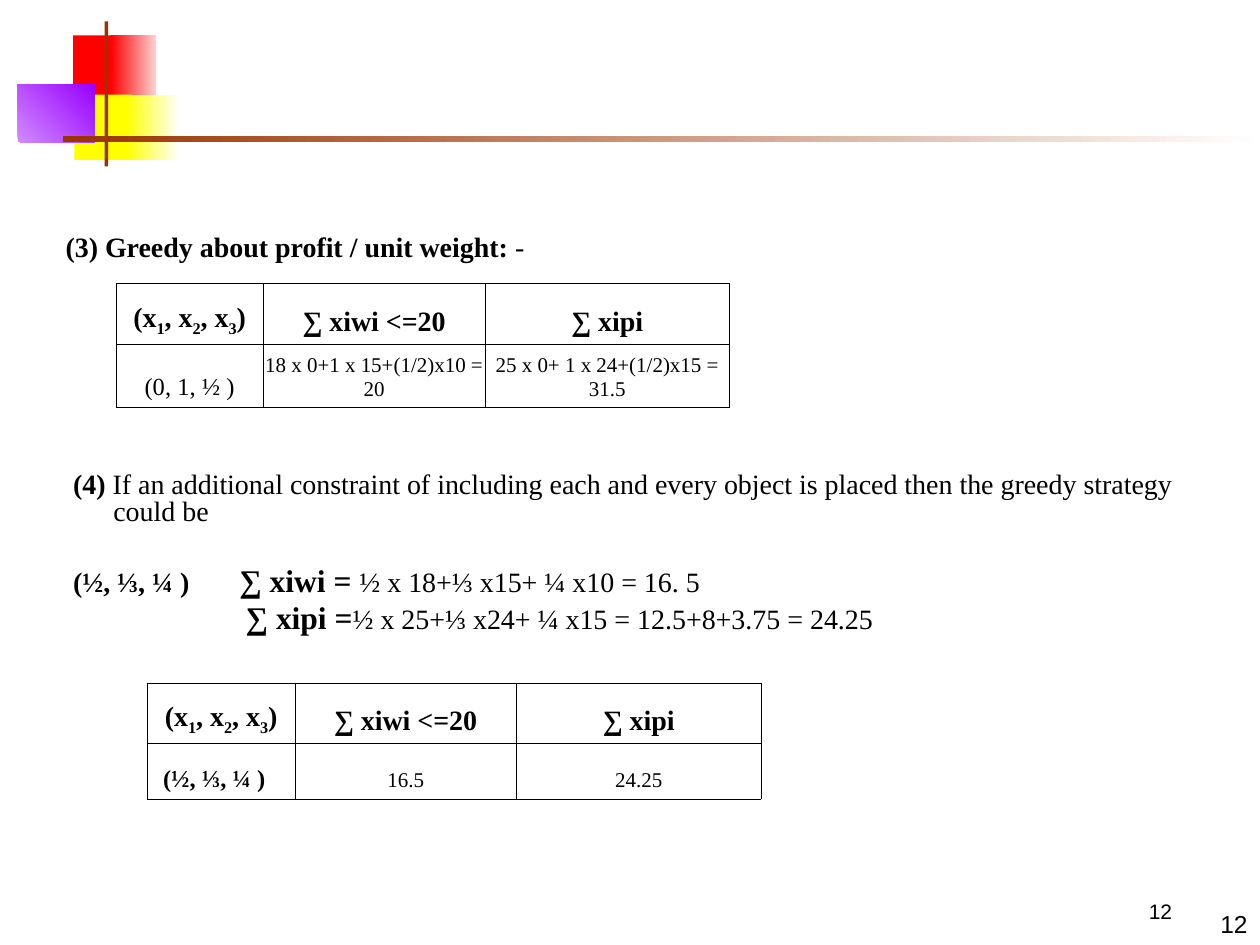
from lxml.etree import SubElement
from pptx import Presentation
from pptx.dml.color import RGBColor
from pptx.enum.shapes import MSO_SHAPE
from pptx.enum.text import MSO_ANCHOR, MSO_AUTO_SIZE, PP_ALIGN
from pptx.oxml.ns import qn
from pptx.util import Inches, Pt

COLORS = {
    "text": "000000",
    "red": "FF0000",
    "pale_red": "FFD1D1",
    "yellow": "FFFF00",
    "pale_yellow": "FFFFF0",
    "lilac": "D18BFF",
    "violet": "9900FF",
    "brown": "993300",
    "white": "FFFFFF",
}
SERIF = "Times New Roman"
BOLD = {"bold": True}
SUBSCRIPT = {"bold": True, "baseline": -25000}
VECTOR = [("(x", BOLD), ("1", SUBSCRIPT), (", x", BOLD), ("2", SUBSCRIPT),
          (", x", BOLD), ("3", SUBSCRIPT), (")", BOLD)]
HEADER = [VECTOR, [("∑ xiwi <=20", BOLD)], [("∑ xipi", BOLD)]]
COLUMN_WIDTHS = [1.17, 1.76, 1.94]
ROW_HEIGHTS = [0.48, 0.44]


def color(name):
    return RGBColor.from_string(COLORS[name])


def add_text(paragraph, text, size=16, bold=False, font=SERIF, baseline=None):
    run = paragraph.add_run()
    run.text = text
    run.font.size = Pt(size)
    run.font.bold = bold
    run.font.name = font
    run.font.color.rgb = color("text")
    if baseline is not None:
        run._r.get_or_add_rPr().set("baseline", str(baseline))


def add_block(slide, left, top, width, height, start, end=None, angle=0):
    block = slide.shapes.add_shape(MSO_SHAPE.RECTANGLE, Inches(left), Inches(top),
                                   Inches(width), Inches(height))
    block.shadow.inherit = False
    block.line.fill.background()
    if end is None:
        block.fill.solid()
        block.fill.fore_color.rgb = color(start)
        return
    block.fill.gradient()
    block.fill.gradient_angle = angle
    for stop, name in zip(block.fill.gradient_stops, (start, end)):
        stop.color.rgb = color(name)


def add_decoration(slide):
    add_block(slide, 0.58, 0.28, 0.35, 0.52, "red")
    add_block(slide, 0.88, 0.28, 0.36, 0.52, "red", "pale_red")
    add_block(slide, 0.59, 0.75, 0.46, 0.52, "yellow")
    add_block(slide, 1, 0.75, 0.4, 0.52, "yellow", "pale_yellow")
    add_block(slide, 0.14, 0.67, 0.61, 0.46, "lilac", "violet", angle=45)
    add_block(slide, 0.83, 0.17, 0.03, 1.15, "brown")
    add_block(slide, 0.5, 1.08, 9.5, 0.05, "brown", "white")


def add_number(slide, left, top, width, height, size, alignment, anchor):
    box = slide.shapes.add_textbox(Inches(left), Inches(top), Inches(width), Inches(height))
    frame = box.text_frame
    frame.word_wrap = True
    frame.vertical_anchor = anchor
    frame.paragraphs[0].alignment = alignment
    add_text(frame.paragraphs[0], "12", size=size, font="Arial")


def format_paragraph(paragraph, margin, indent, space_before, tab=None):
    properties = paragraph._p.get_or_add_pPr()
    properties.set("marL", str(Inches(margin)))
    properties.set("indent", str(Inches(indent)))
    SubElement(properties, qn("a:buNone"))
    if tab is not None:
        tabs = SubElement(properties, qn("a:tabLst"))
        SubElement(tabs, qn("a:tab"), pos=str(Inches(tab)), algn="l")
    paragraph.line_spacing = 0.8
    paragraph.space_before = Pt(space_before)


def fill_body(slide):
    body = slide.placeholders[1]
    body.left, body.top = Inches(0.42), Inches(1.82)
    body.width, body.height = Inches(9), Inches(4.18)
    frame = body.text_frame
    frame.word_wrap = True
    frame.auto_size = MSO_AUTO_SIZE.NONE
    frame.vertical_anchor = MSO_ANCHOR.TOP
    large = {"bold": True, "size": 18}
    content = [
        ({"margin": 0.38, "indent": -0.38, "space_before": 0},
         [("(3) Greedy about profit / unit weight:", BOLD), (" -", {})]),
        ({"margin": 0.38, "indent": -0.32, "space_before": 120.5},
         [("(4) ", BOLD),
          ("If an additional constraint of including each and every object is placed "
           "then the greedy strategy could be", {})]),
        ({"margin": 0.38, "indent": -0.32, "space_before": 23.5, "tab": 2.05},
         [("(½, ⅓, ¼ )\t", BOLD), ("∑ xiwi = ", large),
          ("½ x 18+⅓ x15+ ¼ x10 = 16. 5", {})]),
        ({"margin": 1.43, "indent": 0, "space_before": 4},
         [("∑ xipi =", large), ("½ x 25+⅓ x24+ ¼ x15 = 12.5+8+3.75 = 24.25", {})]),
    ]
    for index, (layout, runs) in enumerate(content):
        paragraph = frame.add_paragraph() if index else frame.paragraphs[0]
        format_paragraph(paragraph, **layout)
        for text, style in runs:
            add_text(paragraph, text, **style)


def add_borders(cell):
    properties = cell._tc.get_or_add_tcPr()
    for position, side in enumerate(("lnL", "lnR", "lnT", "lnB")):
        line = properties.makeelement(qn(f"a:{side}"), {"w": str(Pt(0.23))})
        fill = SubElement(line, qn("a:solidFill"))
        SubElement(fill, qn("a:srgbClr"), val=COLORS["text"])
        properties.insert(position, line)


def add_result_table(slide, left, top, results):
    frame = slide.shapes.add_table(2, 3, Inches(left), Inches(top),
                                   Inches(sum(COLUMN_WIDTHS)), Inches(sum(ROW_HEIGHTS)))
    table = frame.table
    table.first_row = False
    table.horz_banding = False
    for column, width in zip(table.columns, COLUMN_WIDTHS):
        column.width = Inches(width)
    for row, height, values in zip(table.rows, ROW_HEIGHTS, (HEADER, results)):
        row.height = Inches(height)
        for cell, runs in zip(row.cells, values):
            cell.fill.background()
            cell.vertical_anchor = MSO_ANCHOR.BOTTOM
            cell.margin_left = cell.margin_right = Inches(0.01)
            cell.margin_top = cell.margin_bottom = Inches(0.05)
            add_borders(cell)
            paragraph = cell.text_frame.paragraphs[0]
            paragraph.alignment = PP_ALIGN.CENTER
            for text, style in runs:
                add_text(paragraph, text, **style)
    return table


def main():
    presentation = Presentation()
    presentation.slide_width, presentation.slide_height = Inches(10), Inches(7.5)
    slide = presentation.slides.add_slide(presentation.slide_layouts[1])
    title = slide.shapes.title._element
    title.getparent().remove(title)
    add_decoration(slide)
    add_number(slide, 8.67, 7.08, 1.08, 0.33, 12, PP_ALIGN.CENTER, MSO_ANCHOR.TOP)
    fill_body(slide)
    small = {"size": 12}
    add_result_table(slide, 0.92, 2.25, [
        [("(0, 1, ½ )", {"size": 14})],
        [("18 x 0+1 x 15+(1/2)x10 = 20", small)],
        [("25 x 0+ 1 x 24+(1/2)x15 = 31.5", small)],
    ])
    fraction_table = add_result_table(slide, 1.17, 5.42, [
        [("(½, ⅓, ¼ )", {"size": 14, "bold": True})],
        [("16.5", small)],
        [("24.25", small)],
    ])
    fraction_table.cell(1, 0).margin_right = Inches(0.12)
    add_number(slide, 7.92, 7, 2.08, 0.5, 14, PP_ALIGN.RIGHT, MSO_ANCHOR.BOTTOM)
    presentation.save("out.pptx")


if __name__ == "__main__":
    main()
